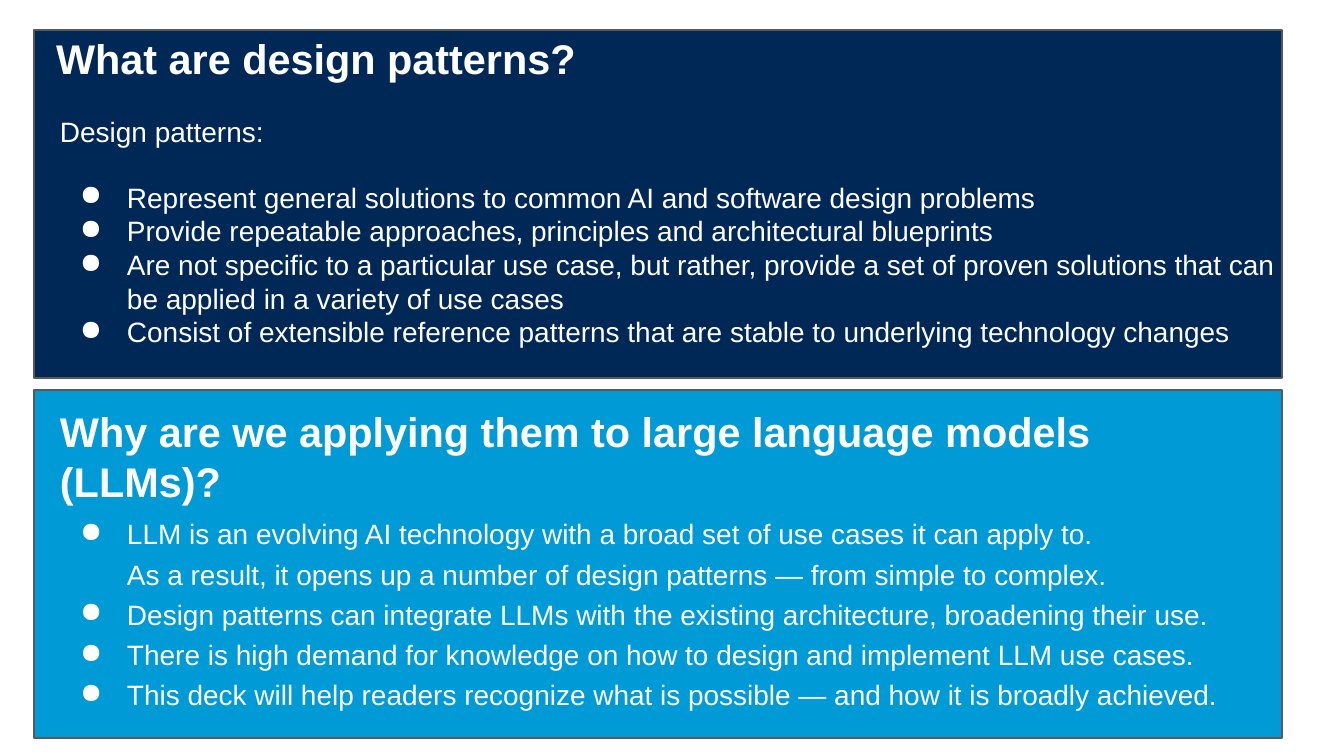
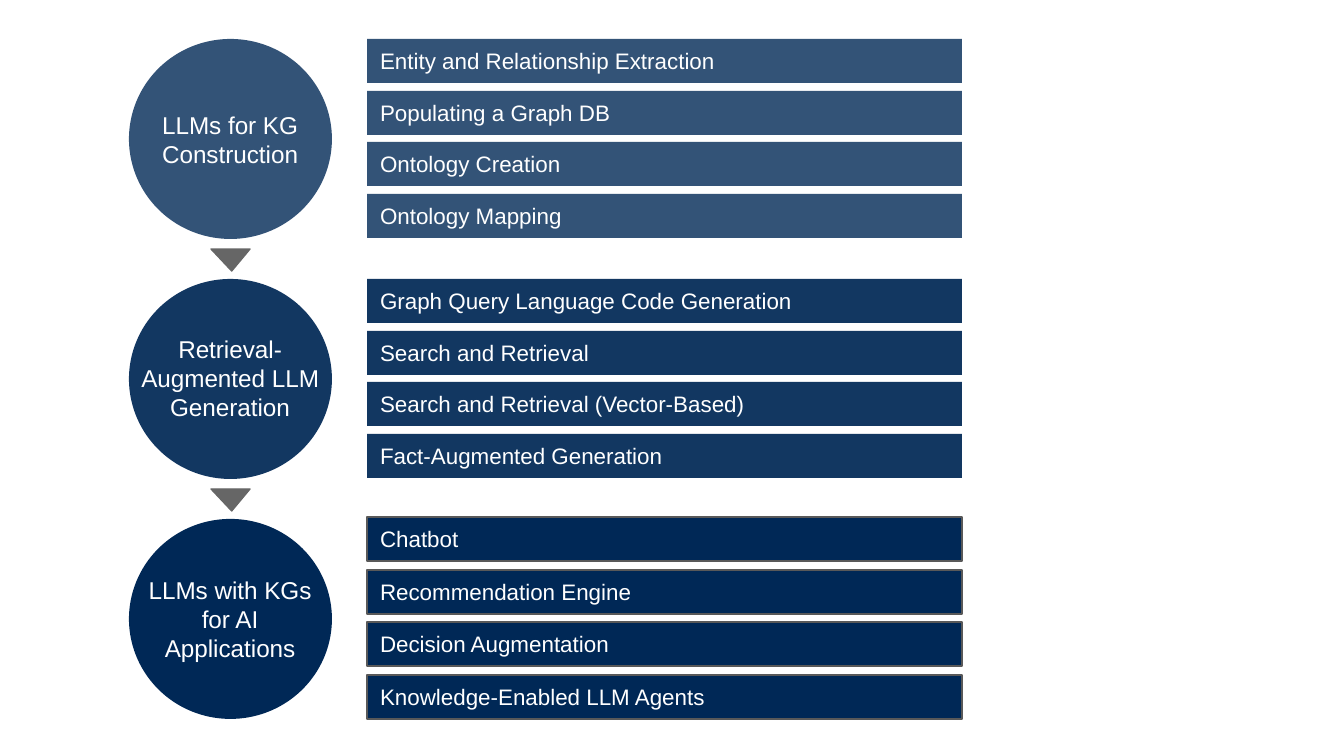
from lxml.etree import SubElement
from pptx import Presentation
from pptx.dml.color import RGBColor
from pptx.enum.shapes import MSO_SHAPE as SHAPE
from pptx.enum.text import MSO_ANCHOR as ANCHOR, MSO_AUTO_SIZE as AUTOSIZE, PP_ALIGN as ALIGN
from pptx.oxml.ns import qn
from pptx.util import Emu, Pt

# Shared look
PX = 914400 / 134.4
FONT = "Arial"
NAVY, BLUE, GREY, EDGE, WHITE = "002856", "009AD7", "666666", "595959", "FFFFFF"
INSET = 13
TITLE_TOP_INSET = 16

# Slide 1 content
PATTERN_INTRO = "Design patterns:"
PATTERN_POINTS = [
    "Represent general solutions to common AI and software design problems",
    "Provide repeatable approaches, principles and architectural blueprints",
    "Are not specific to a particular use case, but rather, provide a set of proven "
    "solutions that can be applied in a variety of use cases",
    "Consist of extensible reference patterns that are stable to underlying technology changes",
]
LLM_POINTS = [
    "LLM is an evolving AI technology with a broad set of use cases it can apply to.\n"
    "As a result, it opens up a number of design patterns — from simple to complex.",
    "Design patterns can integrate LLMs with the existing architecture, broadening their use.",
    "There is high demand for knowledge on how to design and implement LLM use cases.",
    "This deck will help readers recognize what is possible — and how it is broadly achieved.",
]

# Slide 2 content: circle top, bars top, last bar offset, opacity, bar edge, label box, label, bars
STAGES = [
    (39, 39, 155, 80, None, (125, 97, 210, 86), ["LLMs for KG Construction"],
     ["Entity and Relationship Extraction", "Populating a Graph DB",
      "Ontology Creation", "Ontology Mapping"]),
    (279, 279, 155, 93, None, (125, 321, 210, 116), ["Retrieval- Augmented LLM Generation"],
     ["Graph Query Language Code Generation", "Search and Retrieval",
      "Search and Retrieval (Vector-Based)", "Fact-Augmented Generation"]),
    (519, 517, 158, 100, EDGE, (113, 562, 234, 116),
     ["LLMs with KGs", "for AI", "Applications"],
     ["Chatbot", "Recommendation Engine",
      "Decision Augmentation", "Knowledge-Enabled LLM Agents"]),
]


def px(n):
    return Emu(round(n * PX))


def rgb(color):
    return RGBColor.from_string(color)


def place(sp, left, top, width, height):
    sp.left, sp.top, sp.width, sp.height = px(left), px(top), px(width), px(height)


def add_box(s, kind, box, fill, edge=None, opacity=100):
    sp = s.shapes.add_shape(kind, *map(px, box))
    sp.shadow.inherit = False
    sp.fill.solid()
    sp.fill.fore_color.rgb = rgb(fill)
    if opacity < 100:
        color = sp.fill._xPr.find(qn("a:solidFill")).find(qn("a:srgbClr"))
        SubElement(color, qn("a:alpha"), val=str(opacity * 1000))
    if edge:
        sp.line.color.rgb = rgb(edge)
        sp.line.width = Pt(0.75)
    else:
        sp.line.fill.background()
    return sp


def prepare_frame(sp, anchor=ANCHOR.TOP, auto_size=AUTOSIZE.NONE):
    tf = sp.text_frame
    tf.word_wrap = True
    tf.auto_size = auto_size
    tf.vertical_anchor = anchor
    tf.margin_left = tf.margin_top = tf.margin_right = tf.margin_bottom = px(INSET)
    return tf


def add_run(p, text, size, bold=False):
    r = p.add_run()
    r.text = text
    r.font.name = FONT
    r.font.size = Pt(size)
    r.font.bold = bold
    r.font.color.rgb = rgb(WHITE)


def write(tf, lines, size, align=ALIGN.LEFT, bold=False, spacing=None):
    """Write one paragraph per entry; a newline inside an entry is a line break."""
    for i, line in enumerate(lines):
        p = tf.paragraphs[0] if i == 0 else tf.add_paragraph()
        p.alignment = align
        if spacing:
            p.line_spacing = spacing
        for j, part in enumerate(line.split("\n")):
            if j:
                p.add_line_break()
            add_run(p, part, size, bold)


def add_bullet(p):
    pPr = p._p.get_or_add_pPr()
    pPr.set("marL", str(px(67)))
    pPr.set("indent", str(px(-47)))
    color = SubElement(pPr, qn("a:buClr"))
    SubElement(color, qn("a:srgbClr"), val=WHITE)
    SubElement(pPr, qn("a:buChar"), char="●")


def format_title(sp, box, text):
    place(sp, *box)
    tf = prepare_frame(sp)
    tf.margin_top = px(TITLE_TOP_INSET)
    write(tf, [text], 22.2, bold=True)


def add_body(s, box, points, spacing, intro=None):
    tf = prepare_frame(s.shapes.add_textbox(*map(px, box)))
    write(tf, ([intro] if intro else []) + points, 15, spacing=spacing)
    bullets = tf.paragraphs[1:] if intro else tf.paragraphs
    if intro:
        bullets[0].space_before = Pt(17)
    for p in bullets:
        add_bullet(p)


def add_bars(s, top, last, names, opacity, edge):
    for i, name in enumerate(names):
        y = top + round(i * last / (len(names) - 1))
        sp = add_box(s, SHAPE.RECTANGLE, (367, y, 595, 44), NAVY, edge, opacity)
        write(prepare_frame(sp, ANCHOR.MIDDLE), [name], 12)


def add_stage(s, stage):
    circle_top, bars_top, last, opacity, edge, label_box, label, names = stage
    add_bars(s, bars_top, last, names, opacity, edge)
    add_box(s, SHAPE.OVAL, (129, circle_top, 203, 200), NAVY, opacity=opacity)
    sp = s.shapes.add_textbox(*map(px, label_box))
    write(prepare_frame(sp, auto_size=AUTOSIZE.SHAPE_TO_FIT_TEXT), label, 13, ALIGN.CENTER)


def add_arrow(s, top):
    sp = add_box(s, SHAPE.ISOSCELES_TRIANGLE, (211, top, 39, 22), GREY, GREY)
    sp.adjustments[0] = 0.47
    sp.rotation = 180


def build_overview(prs):
    s = prs.slides.add_slide(prs.slide_layouts[5])
    for top, fill in ((390, BLUE), (30, NAVY)):
        add_box(s, SHAPE.RECTANGLE, (34, top, 1248, 348), fill, EDGE)
    # Bring the title in front of its panel
    title = s.shapes.title
    s.shapes._spTree.append(title._element)
    format_title(title, (43, 17, 1032, 85), "What are design patterns?")
    add_body(s, (47, 102, 1253, 265), PATTERN_POINTS, 1.0, PATTERN_INTRO)
    format_title(s.shapes.add_textbox(0, 0, 0, 0), (47, 390, 1133, 85),
                 "Why are we applying them to large language models (LLMs)?")
    add_body(s, (47, 497, 1207, 228), LLM_POINTS, 1.2)


def build_stages(prs):
    s = prs.slides.add_slide(prs.slide_layouts[6])
    for stage in STAGES:
        add_stage(s, stage)
    # Arrows between the circles
    for stage in STAGES[:-1]:
        add_arrow(s, stage[0] + 210)


def main():
    prs = Presentation()
    prs.slide_width, prs.slide_height = px(1344), px(756)
    build_overview(prs)
    build_stages(prs)
    prs.save("out.pptx")


if __name__ == "__main__":
    main()
